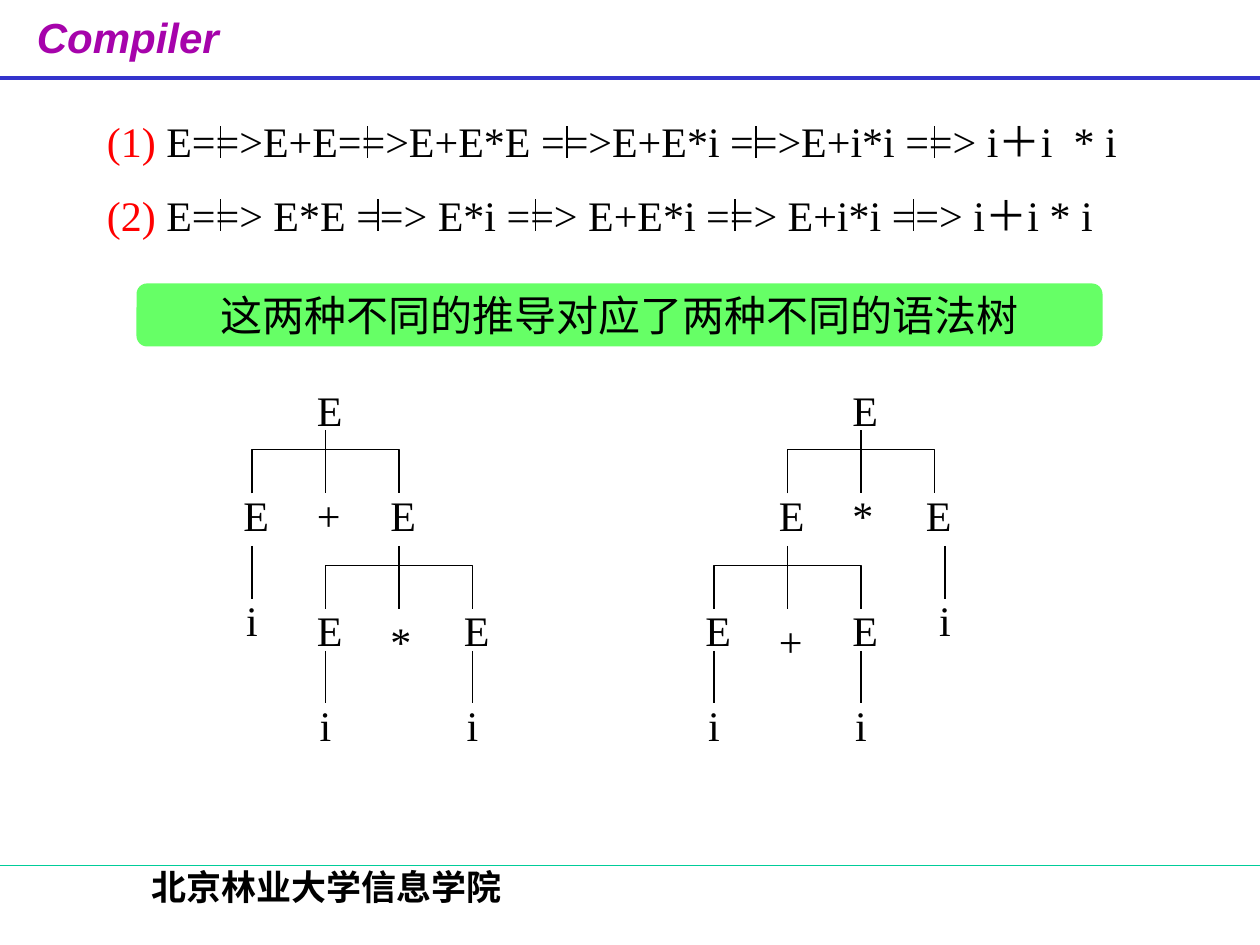
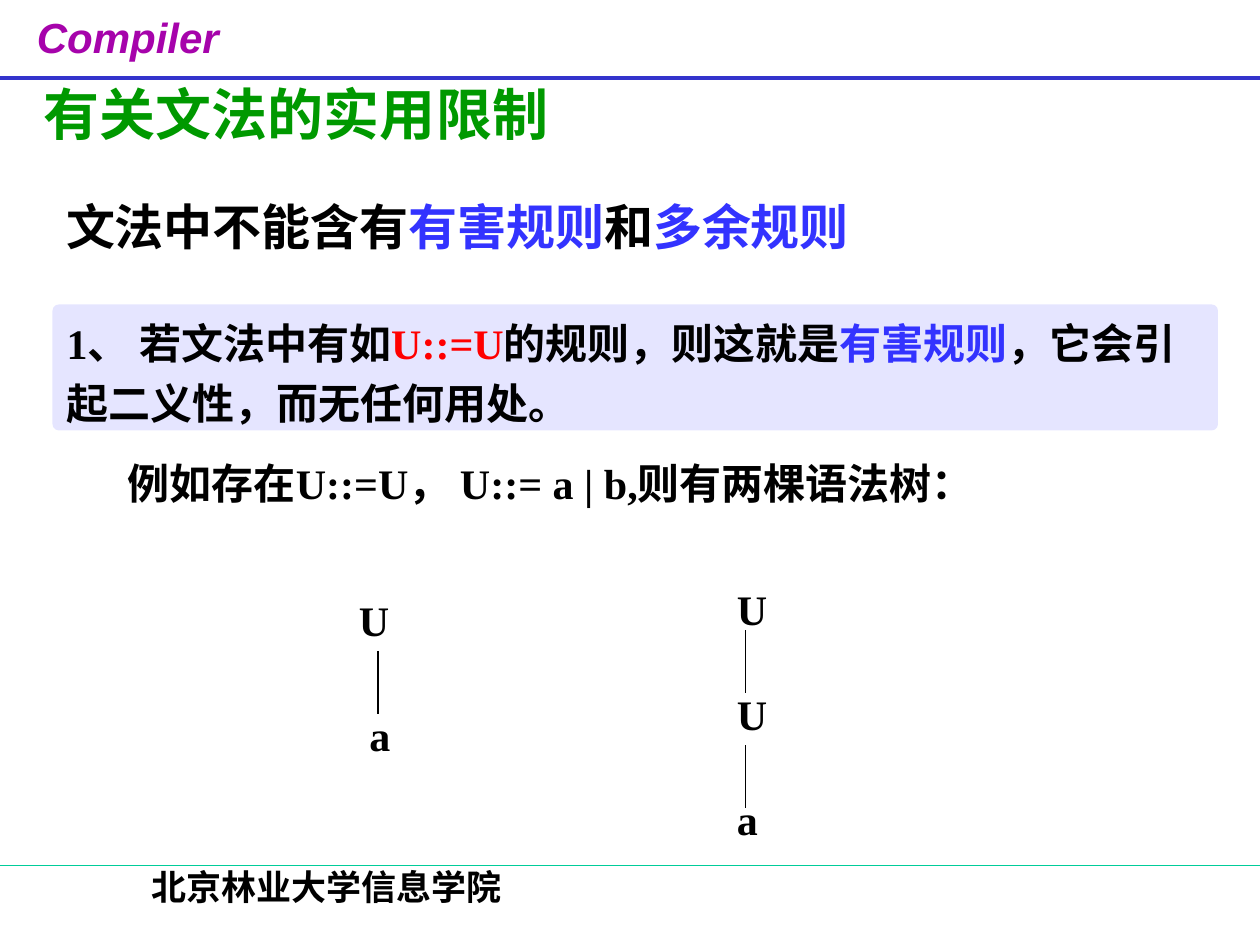
from pptx import Presentation
from pptx.dml.color import RGBColor as RGB
from pptx.enum.shapes import MSO_CONNECTOR as LINK, MSO_SHAPE as SHAPE
from pptx.enum.text import MSO_ANCHOR as ANCHOR, PP_ALIGN as ALIGN
from pptx.oxml.ns import qn
from pptx.util import Pt
from lxml import etree

HUES = {
    "black": "000000", "red": "FF0000", "blue": "3333FF", "green": "009900",
    "brand": "A603AB", "rule": "3333CC", "foot": "00CC99",
    "lime": "66FF66", "lilac": "CCCCFF",
}
ROMAN = "Times New Roman"


def write(shape, lines, size=24, bold=False, align=ALIGN.LEFT, font=ROMAN, space=None, wrap=True):
    """Fill a shape with lines, each a list of (text, hue) runs."""
    frame = shape.text_frame
    frame.word_wrap = wrap
    for i, runs in enumerate(lines):
        para = frame.paragraphs[0] if i == 0 else frame.add_paragraph()
        para.alignment = align
        para.line_spacing = space
        para.font.size, para.font.bold, para.font.name = Pt(size), bold, font
        for text, hue in runs:
            run = para.add_run()
            run.text = text
            run.font.color.rgb = RGB.from_string(HUES[hue])
    return frame


def rule(slide, x1, y1, x2, y2, hue="black", width=0.75):
    """Draw a straight line without a shadow."""
    line = slide.shapes.add_connector(LINK.STRAIGHT, Pt(x1), Pt(y1), Pt(x2), Pt(y2))
    line.line.color.rgb = RGB.from_string(HUES[hue])
    line.line.width = Pt(width)
    etree.SubElement(line._element.spPr, qn("a:effectLst"))


prs = Presentation()
prs.slide_width, prs.slide_height = Pt(720), Pt(540)
slides = [prs.slides.add_slide(prs.slide_layouts[6]) for _ in range(2)]

# Shared header and footer
for slide in slides:
    box = slide.shapes.add_textbox(Pt(14), Pt(3), Pt(137), Pt(45))
    frame = write(box, [[("Compiler", "brand")]], bold=True, font="Arial", wrap=False)
    frame.paragraphs[0].font.italic = True
    rule(slide, 0, 44.6, 720, 44.6, "rule", 2.25)
    rule(slide, 0, 494.6, 720, 494.6, "foot")
    box = slide.shapes.add_textbox(Pt(37.5), Pt(491), Pt(298), Pt(36))
    write(box, [[("北京林业大学信息学院", "black")]], 20, True, ALIGN.CENTER)

# Slide 1: the two derivations, each arrow struck by a tick
trees, limits = slides
steps = [
    (66, "(1)", " E==>E+E==>E+E*E ==>E+E*i ==>E+i*i ==> i＋i  * i", [126, 210, 324, 432, 534]),
    (108, "(2)", " E==> E*E ==> E*i ==> E+E*i ==> E+i*i ==> i＋i * i", [126, 216, 306, 420, 522]),
]
for top, mark, chain, ticks in steps:
    box = trees.shapes.add_textbox(Pt(54), Pt(top), Pt(636), Pt(33))
    write(box, [[(mark, "red"), (chain, "black")]], space=0.9)
    for x in ticks:
        rule(trees, x, top + 6, x, top + 24)

# Slide 1: banner
band = trees.shapes.add_shape(SHAPE.ROUNDED_RECTANGLE, Pt(78), Pt(162), Pt(552), Pt(36))
band.shadow.inherit = False
band.fill.solid()
band.fill.fore_color.rgb = RGB.from_string(HUES["lime"])
band.line.fill.background()
frame = write(band, [[("这两种不同的推导对应了两种不同的语法树", "black")]], align=ALIGN.CENTER)
frame.vertical_anchor = ANCHOR.MIDDLE

# Slide 1: syntax trees as (root x, lower fork x, lone leaf x, upper and lower operator)
STEP = 42
for root, fork, lone, upper, lower in [(186, 228, 144, "+", "*"), (492, 450, 540, "*", "+")]:
    nodes = [("E", root, 216), (upper, root, 276), (lower, fork, 348), ("i", lone, 336)]
    rule(trees, lone, 312, lone, 342)
    for mid, top, row in [(root, 246, 276), (fork, 312, 342)]:
        left, right, foot = mid - STEP, mid + STEP, top + 36
        nodes += [("E", left, row), ("E", right, row)]
        rule(trees, mid, top, mid, foot)
        pen = trees.shapes.build_freeform(Pt(left), Pt(foot))
        bar = top + 11
        pen.add_line_segments([(Pt(left), Pt(bar)), (Pt(right), Pt(bar)), (Pt(right), Pt(foot))], close=False)
        fork_line = pen.convert_to_shape()
        fork_line.shadow.inherit = False
        fork_line.fill.background()
        fork_line.line.color.rgb = RGB.from_string(HUES["black"])
        fork_line.line.width = Pt(0.75)
    for x in (fork - STEP, fork + STEP):
        rule(trees, x, 372, x, 402)
        nodes.append(("i", x, 396))
    for text, x, y in nodes:
        box = trees.shapes.add_textbox(Pt(x - 12), Pt(y), Pt(24), Pt(36))
        write(box, [[(text, "black")]], align=ALIGN.CENTER if text == "i" else ALIGN.LEFT)

# Slide 2: title
box = limits.shapes.add_textbox(Pt(18), Pt(42), Pt(444), Pt(46))
write(box, [[("有关文法的实用限制", "green")]], 32, True)

# Slide 2: statement and first rule
claim = [[("文法中不能含有", "black"), ("有害规则", "blue"), ("和", "black"), ("多余规则", "blue")]]
harm = [
    [("1、 若文法中有如", "black"), ("U::=U", "red"), ("的规则，则这就是", "black"),
     ("有害规则", "blue"), ("，它会引", "black")],
    [("起二义性，而无任何用处。", "black")],
]
for top, width, height, size, lines, hue in [
    (102, 648, 48, 28, claim, None), (174, 666, 72, 24, harm, "lilac"),
]:
    panel = limits.shapes.add_shape(SHAPE.ROUNDED_RECTANGLE, Pt(30), Pt(top), Pt(width), Pt(height))
    panel.adjustments[0] = 0.05
    panel.shadow.inherit = False
    panel.line.fill.background()
    if hue:
        panel.fill.solid()
        panel.fill.fore_color.rgb = RGB.from_string(HUES[hue])
        tint = panel._element.spPr.find(qn("a:solidFill"))[0]
        etree.SubElement(tint, qn("a:alpha"), val="50000")
    else:
        panel.fill.background()
    frame = write(panel, lines, size, True, space=1.2, wrap=False)
    frame.vertical_anchor = ANCHOR.MIDDLE

# Slide 2: example, indented
box = limits.shapes.add_textbox(Pt(54), Pt(258), Pt(630), Pt(36))
frame = write(box, [[("例如存在U::=U， U::= a | b,则有两棵语法树：", "black")]], bold=True)
frame.paragraphs[0]._p.get_or_add_pPr().set("marL", str(Pt(12)))

# Slide 2: the two chains
for text, x, y in [("U", 198, 336), ("a", 204, 402), ("U", 414, 330), ("U", 414, 390), ("a", 414, 450)]:
    box = limits.shapes.add_textbox(Pt(x), Pt(y), Pt(30), Pt(36))
    write(box, [[(text, "black")]], bold=True)
for x, y in [(216, 372), (426, 360), (426, 426)]:
    rule(limits, x, y, x, y + 36)

prs.save("out.pptx")
